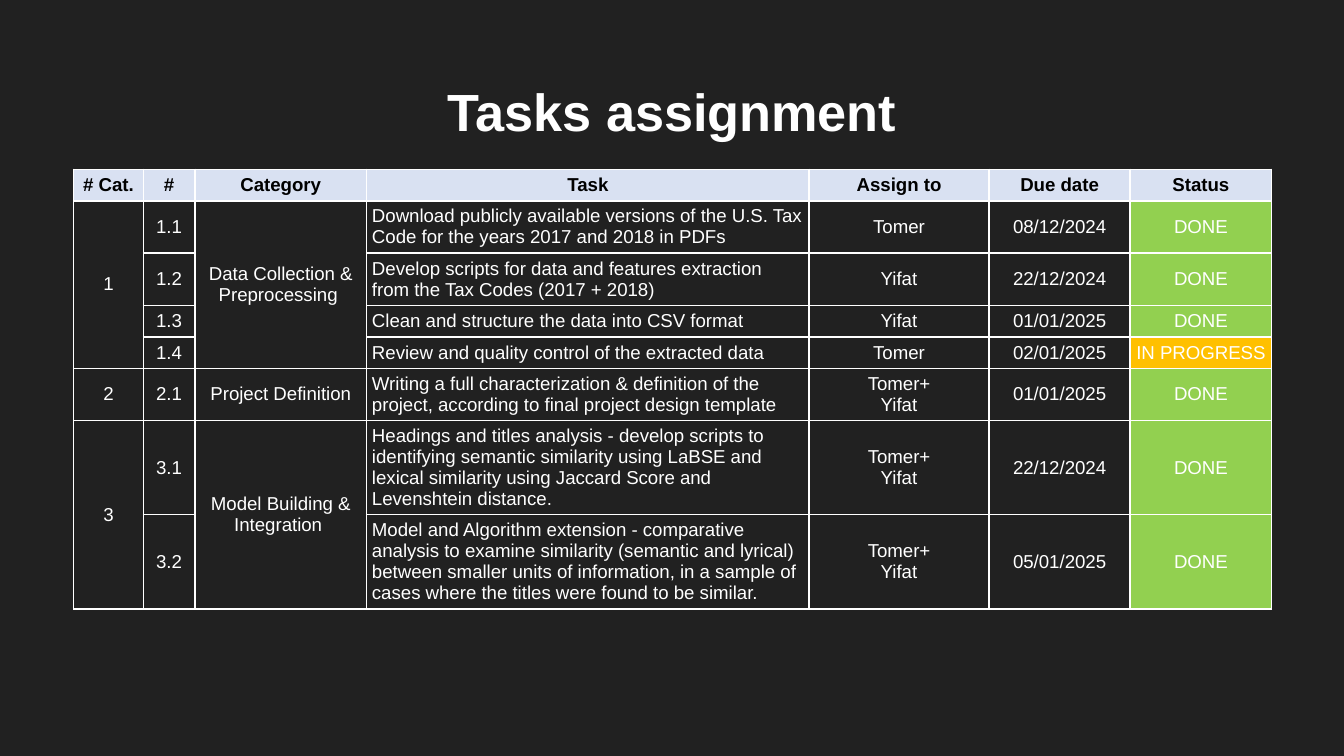
"""Build the task assignment slide."""
from dataclasses import dataclass

import pptx
import pptx.dml.color
import pptx.enum.text
import pptx.oxml
import pptx.oxml.ns
import pptx.table
import pptx.util
from pptx.util import Cm

COLORS = {
    "background": "212121",
    "light": "FFFFFF",
    "dark": "000000",
    "header": "D9E1F2",
    "DONE": "92D050",
    "IN PROGRESS": "FFC000",
}
FONT = "Arial"
INSET = 0.1
LINE_HEIGHT = 0.39
HEADINGS = ["# Cat.", "#", "Category", "Task", "Assign to", "Due date", "Status"]
COLUMN_WIDTHS = [1.32, 0.97, 3.25, 8.36, 3.4, 2.67, 2.67]
CENTER = pptx.enum.text.PP_ALIGN.CENTER
LEFT = pptx.enum.text.PP_ALIGN.LEFT
MIDDLE = pptx.enum.text.MSO_ANCHOR.MIDDLE
TOP = pptx.enum.text.MSO_ANCHOR.TOP


@dataclass
class Task:
    description: str
    assignee: str
    due: str
    lines: int
    status: str = "DONE"


@dataclass
class Category:
    name: str
    tasks: list[Task]


CATEGORIES = [
    Category("Data Collection & Preprocessing ", [
        Task("Download publicly available versions of the U.S. Tax Code for the years 2017 and 2018 in PDFs",
             "Tomer", "08/12/2024", 2),
        Task("Develop scripts for data and features extraction from the Tax Codes (2017 + 2018)",
             "Yifat", "22/12/2024", 2),
        Task("Clean and structure the data into CSV format", "Yifat", "01/01/2025", 1),
        Task("Review and quality control of the extracted data", "Tomer", "02/01/2025", 1, "IN PROGRESS"),
    ]),
    Category("Project Definition", [
        Task("Writing a full characterization & definition of the project, "
             "according to final project design template", "Tomer+\nYifat", "01/01/2025", 2),
    ]),
    Category("Model Building & Integration ", [
        Task("Headings and titles analysis - develop scripts to identifying semantic similarity using LaBSE "
             "and lexical similarity using Jaccard Score and Levenshtein distance.",
             "Tomer+\nYifat", "22/12/2024", 4),
        Task("Model and Algorithm extension - comparative analysis to examine similarity (semantic and lyrical) "
             "between smaller units of information, in a sample of cases where the titles were found to be similar.",
             "Tomer+\nYifat", "05/01/2025", 4),
    ]),
]


def rgb(name: str) -> pptx.dml.color.RGBColor:
    return pptx.dml.color.RGBColor.from_string(COLORS[name])


def add_text(paragraph, text: str, size: float, color: str, bold: bool, align) -> None:
    paragraph.alignment = align
    for index, line in enumerate(text.split("\n")):
        if index:
            paragraph.add_line_break()
        run = paragraph.add_run()
        run.text = line
        run.font.name = FONT
        run.font.size = pptx.util.Pt(size)
        run.font.bold = bold
        run.font.color.rgb = rgb(color)


def frame_cell(cell: pptx.table._Cell) -> None:
    cell.margin_left = cell.margin_right = cell.margin_top = cell.margin_bottom = Cm(INSET)
    properties = cell._tc.get_or_add_tcPr()
    for side in ("lnL", "lnR", "lnT", "lnB"):
        properties.append(pptx.oxml.parse_xml(
            f'<a:{side} {pptx.oxml.ns.nsdecls("a")} w="12700"><a:solidFill>'
            f'<a:srgbClr val="{COLORS["light"]}"/></a:solidFill></a:{side}>'))
    cell.fill.background()


def write_cell(cell: pptx.table._Cell, text: str, fill: str = "", color: str = "light",
               bold: bool = False, align=CENTER, anchor=MIDDLE) -> None:
    cell.vertical_anchor = anchor
    add_text(cell.text_frame.paragraphs[0], text, 10, color, bold, align)
    if fill:
        cell.fill.solid()
        cell.fill.fore_color.rgb = rgb(fill)


def write_category(table: pptx.table.Table, number: int, category: Category, first_row: int) -> None:
    last_row = first_row + len(category.tasks) - 1
    for column, text in ((0, str(number)), (2, category.name)):
        if last_row > first_row:
            table.cell(first_row, column).merge(table.cell(last_row, column))
        write_cell(table.cell(first_row, column), text)
    for index, task in enumerate(category.tasks):
        row = first_row + index
        write_cell(table.cell(row, 1), f"{number}.{index + 1}")
        write_cell(table.cell(row, 3), task.description, align=LEFT, anchor=TOP)
        write_cell(table.cell(row, 4), task.assignee)
        write_cell(table.cell(row, 5), task.due)
        write_cell(table.cell(row, 6), task.status, fill=task.status)


def add_task_table(slide) -> None:
    line_counts = [1] + [task.lines for category in CATEGORIES for task in category.tasks]
    heights = [2 * INSET + LINE_HEIGHT * count for count in line_counts]
    table = slide.shapes.add_table(len(heights), len(HEADINGS), Cm(1.39), Cm(3.2),
                                   Cm(sum(COLUMN_WIDTHS)), Cm(sum(heights))).table
    table.first_row = table.horz_banding = False
    for column, width in zip(table.columns, COLUMN_WIDTHS):
        column.width = Cm(width)
    for row, height in zip(table.rows, heights):
        row.height = Cm(height)
    for cell in table.iter_cells():
        frame_cell(cell)
    for column, heading in enumerate(HEADINGS):
        write_cell(table.cell(0, column), heading, "header", "dark", True, anchor=TOP)
    first_row = 1
    for number, category in enumerate(CATEGORIES, 1):
        write_category(table, number, category, first_row)
        first_row += len(category.tasks)


def add_title(slide, text: str) -> None:
    title = slide.shapes.title
    title.left, title.top, title.width, title.height = Cm(0.86), Cm(1.24), Cm(23.67), Cm(1.6)
    frame = title.text_frame
    frame.margin_left = frame.margin_right = frame.margin_top = frame.margin_bottom = Cm(0.25)
    frame.vertical_anchor = TOP
    frame.word_wrap = True
    add_text(frame.paragraphs[0], text, 28, "light", True, CENTER)


def main() -> None:
    presentation = pptx.Presentation()
    presentation.slide_width, presentation.slide_height = Cm(25.4), Cm(14.29)
    slide = presentation.slides.add_slide(presentation.slide_layouts[5])
    slide.background.fill.solid()
    slide.background.fill.fore_color.rgb = rgb("background")
    add_title(slide, "Tasks assignment")
    add_task_table(slide)
    presentation.save("out.pptx")


if __name__ == "__main__":
    main()
